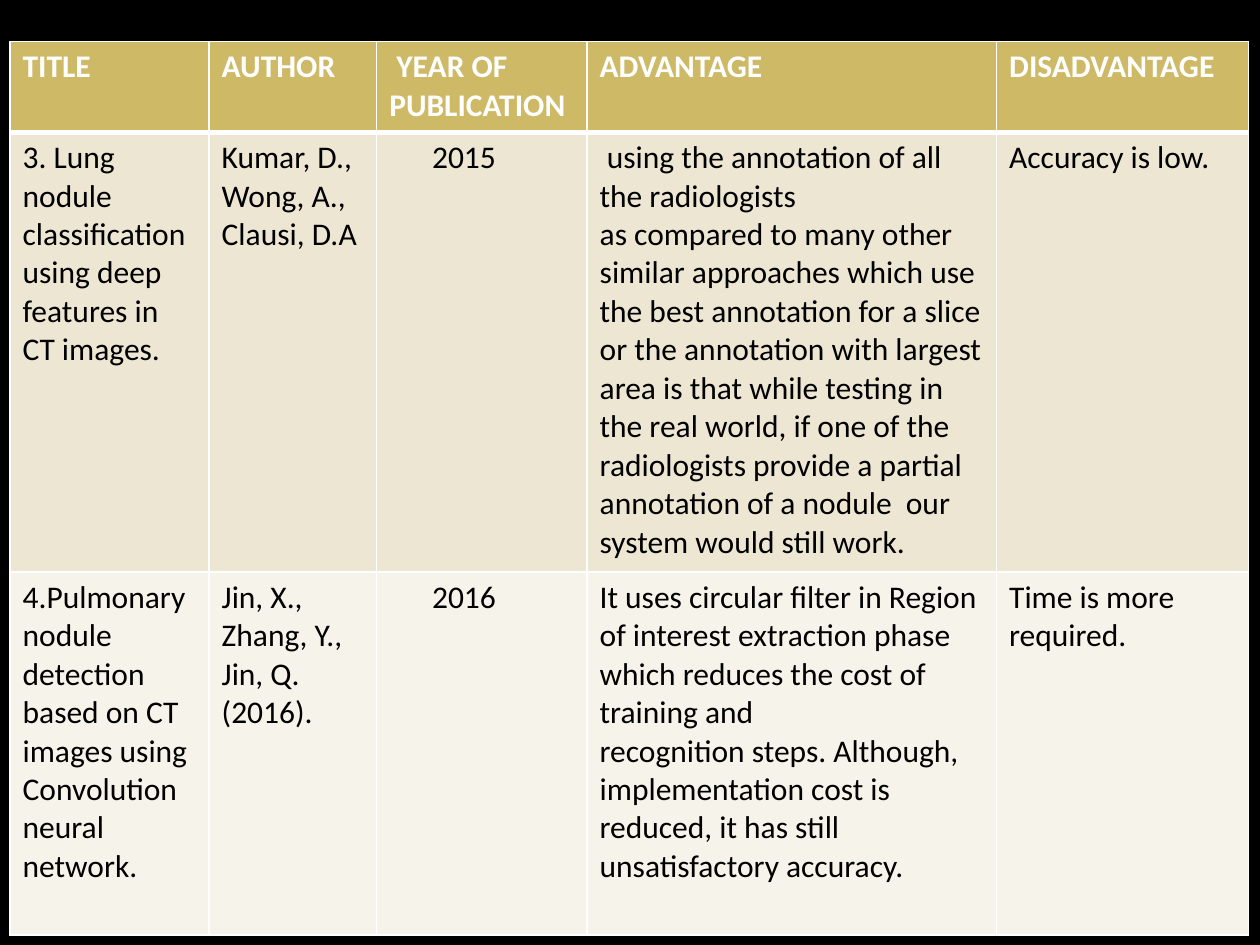
import pptx
import pptx.dml.color
import pptx.oxml.ns
import pptx.util
from lxml import etree
from pptx.util import Inches

RGBColor = pptx.dml.color.RGBColor
BLACK = RGBColor(0x00, 0x00, 0x00)
WHITE = RGBColor(0xFF, 0xFF, 0xFF)
GOLD = RGBColor(0xCE, 0xB9, 0x66)
SAND = RGBColor(0xED, 0xE6, 0xD3)
IVORY = RGBColor(0xF6, 0xF3, 0xEA)

COLUMN_WIDTHS = [1.58, 1.33, 1.67, 3.25, 2]
ROW_HEIGHTS = [0.72, 3.49, 2.88]
ROW_FILLS = [GOLD, SAND, IVORY]
YEAR_COLUMN = 2
YEAR_MARGIN = 0.44

# A line break inside a text starts a new paragraph.
PAPERS = [
    ["TITLE", "AUTHOR", " YEAR OF PUBLICATION", "ADVANTAGE", "DISADVANTAGE"],
    [
        "3. Lung nodule\nclassification using deep features in CT images.",
        "Kumar, D., Wong, A., Clausi, D.A",
        "2015",
        " using the annotation of all the radiologists\n"
        "as compared to many other similar approaches which use the best "
        "annotation for a slice or the annotation with largest area is that "
        "while testing in the real world, if one of the radiologists provide "
        "a partial annotation of a nodule  our system would still work.",
        "Accuracy is low.",
    ],
    [
        "4.Pulmonary nodule detection based on CT images using Convolution "
        "neural network.",
        "Jin, X., Zhang, Y., Jin, Q. (2016).",
        "2016",
        "It uses circular filter in Region of interest extraction phase which "
        "reduces the cost of training and\n"
        "recognition steps. Although, implementation cost is reduced, it has "
        "still unsatisfactory accuracy.",
        "Time is more required.",
    ],
]


def set_borders(cell, top_width, bottom_width):
    """Draw white cell borders, widths in points; call before filling the cell."""
    qualified = pptx.oxml.ns.qn
    properties = cell._tc.get_or_add_tcPr()
    widths = {"L": 1, "R": 1, "T": top_width, "B": bottom_width}
    for side, width in widths.items():
        line = etree.SubElement(properties, qualified(f"a:ln{side}"),
                                w=str(pptx.util.Pt(width)))
        fill = etree.SubElement(line, qualified("a:solidFill"))
        etree.SubElement(fill, qualified("a:srgbClr"), val=str(WHITE))


def write_cell(cell, text, color, bold):
    cell.text_frame.text = text
    for paragraph in cell.text_frame.paragraphs:
        for run in paragraph.runs:
            run.font.name = "Calibri"
            run.font.size = pptx.util.Pt(18)
            run.font.bold = bold
            run.font.color.rgb = color


def add_paper_table(slide):
    frame = slide.shapes.add_table(
        len(PAPERS), len(COLUMN_WIDTHS), Inches(0.08), Inches(0.33),
        Inches(sum(COLUMN_WIDTHS)), Inches(sum(ROW_HEIGHTS)))
    table = frame.table
    for column, width in zip(table.columns, COLUMN_WIDTHS):
        column.width = Inches(width)
    for row, height in zip(table.rows, ROW_HEIGHTS):
        row.height = Inches(height)

    for row_index, texts in enumerate(PAPERS):
        is_header = row_index == 0
        for column_index, text in enumerate(texts):
            cell = table.cell(row_index, column_index)
            set_borders(cell, top_width=3 if row_index == 1 else 1,
                        bottom_width=3 if is_header else 1)
            cell.fill.solid()
            cell.fill.fore_color.rgb = ROW_FILLS[row_index]
            write_cell(cell, text, WHITE if is_header else BLACK, is_header)
            if column_index == YEAR_COLUMN and not is_header:
                cell.margin_left = Inches(YEAR_MARGIN)


def main():
    presentation = pptx.Presentation()
    presentation.slide_width = Inches(10)
    presentation.slide_height = Inches(7.5)
    slide = presentation.slides.add_slide(presentation.slide_layouts[6])
    slide.background.fill.solid()
    slide.background.fill.fore_color.rgb = BLACK
    add_paper_table(slide)
    presentation.save("out.pptx")


if __name__ == "__main__":
    main()
